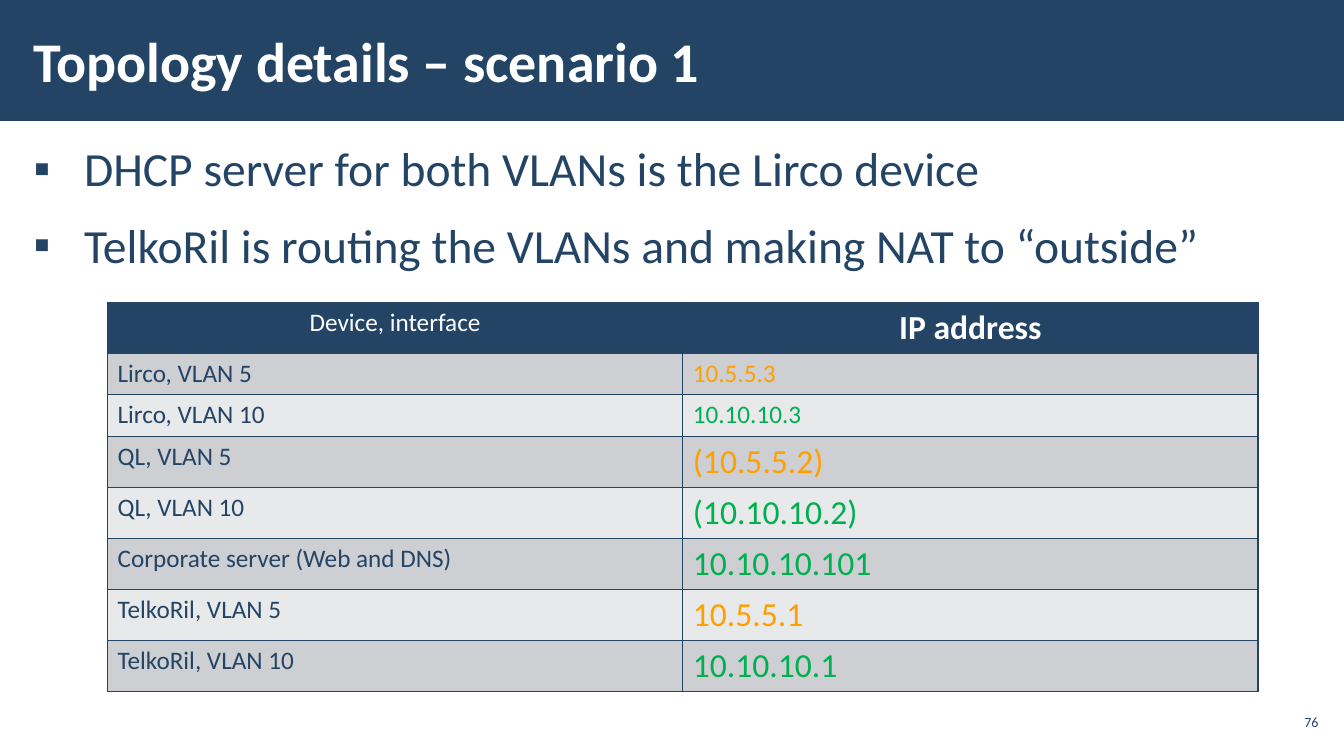
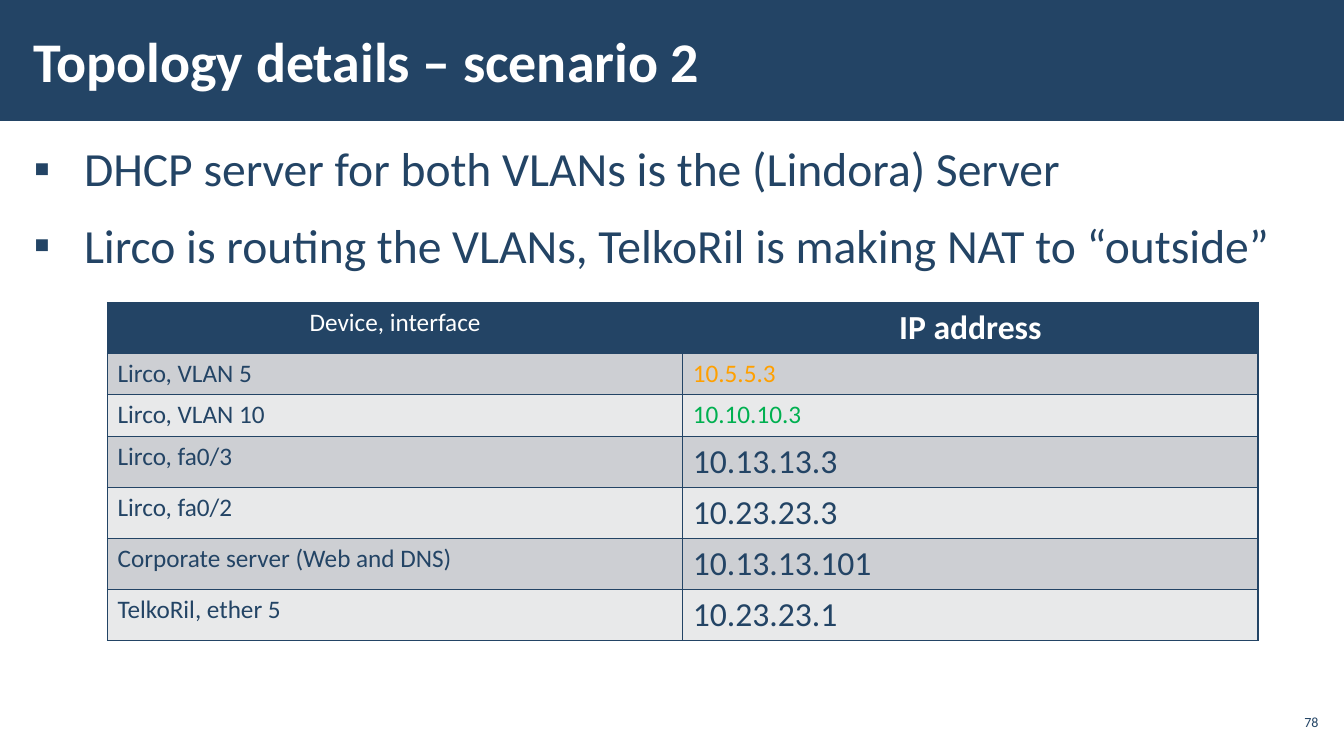
from lxml import etree
from pptx import Presentation
from pptx import util as u
from pptx.dml.color import RGBColor
from pptx.enum import shapes, text
from pptx.oxml import ns

COLOURS = {
    "navy": "234465", "white": "FFFFFF", "orange": "FFA000",
    "green": "00B050", "dark_band": "CDCFD3", "light_band": "E8E9EA",
}
SUBNET_COLOURS = {"10.5.5": "orange", "10.10.10": "green"}
WIDTH, HEIGHT = u.Inches(13.33), u.Inches(7.5)


class Deck:
    """Holds the shared style and the current slide."""

    font = "Calibri"
    left = 0.016
    band_height = 0.16

    def __init__(self):
        self.prs = Presentation()
        self.prs.slide_width, self.prs.slide_height = WIDTH, HEIGHT
        self.slide = None

    def colour(self, name):
        return RGBColor.from_string(COLOURS[name])

    def box(self, x, y, w, h):
        return int(WIDTH * x), int(HEIGHT * y), int(WIDTH * w), int(HEIGHT * h)

    def place(self, shape, x, y, w, h):
        shape.left, shape.top, shape.width, shape.height = self.box(x, y, w, h)

    def frame(self, shape, side, anchor):
        frame = shape.text_frame
        frame.word_wrap = True
        frame.auto_size = text.MSO_AUTO_SIZE.NONE
        frame.vertical_anchor = anchor
        frame.margin_left = frame.margin_right = u.Inches(side)
        frame.margin_top = frame.margin_bottom = u.Inches(0.04)
        return frame

    def run(self, paragraph, words, size, colour, bold=False):
        run = paragraph.add_run()
        run.text = words
        run.font.name = self.font
        run.font.size = u.Pt(size)
        run.font.bold = bold
        run.font.color.rgb = self.colour(colour)

    def new_slide(self, title, number):
        self.slide = self.prs.slides.add_slide(self.prs.slide_layouts[1])
        self.band()
        self.title(title)
        self.page_number(number)

    def band(self):
        band = self.slide.shapes.add_shape(
            shapes.MSO_SHAPE.RECTANGLE, *self.box(0, 0, 1, self.band_height))
        band.shadow.inherit = False
        band.fill.solid()
        band.fill.fore_color.rgb = self.colour("navy")
        band.line.fill.background()
        self.slide.shapes.element.insert(2, band.element)

    def title(self, words):
        title = self.slide.shapes.title
        self.place(title, self.left, 0.015, 0.78, 0.13)
        frame = self.frame(title, 0.12, text.MSO_ANCHOR.MIDDLE)
        frame.paragraphs[0].alignment = text.PP_ALIGN.LEFT
        self.run(frame.paragraphs[0], words, 40, "white", True)

    def page_number(self, number):
        corner = self.slide.shapes.add_textbox(
            *self.box(0.949, 0.933, 0.035, 0.045))
        frame = self.frame(corner, 0.04, text.MSO_ANCHOR.MIDDLE)
        frame.paragraphs[0].alignment = text.PP_ALIGN.RIGHT
        self.run(frame.paragraphs[0], str(number), 10, "navy")

    def bullets(self, points):
        body = self.slide.placeholders[1]
        self.place(body, self.left, 0.175, 0.969, 0.759)
        frame = self.frame(body, 0.12, text.MSO_ANCHOR.TOP)
        for index, point in enumerate(points):
            paragraph = frame.add_paragraph() if index else frame.paragraphs[0]
            properties = paragraph._p.get_or_add_pPr()
            properties.set("marL", str(u.Inches(0.5)))
            properties.set("indent", str(-u.Inches(0.5)))
            etree.SubElement(properties, ns.qn("a:buFont"), typeface="Arial")
            etree.SubElement(properties, ns.qn("a:buChar"), char="▪")
            paragraph.line_spacing = 1.05
            paragraph.space_before = u.Pt(6 if index else 0)
            paragraph.space_after = u.Pt(6)
            self.run(paragraph, point, 34, "navy")

    def borders(self, cell):
        properties = cell._tc.get_or_add_tcPr()
        for side in ("lnL", "lnR", "lnT", "lnB"):
            line = etree.SubElement(
                properties, ns.qn(f"a:{side}"), w=str(u.Pt(1)))
            fill = etree.SubElement(line, ns.qn("a:solidFill"))
            etree.SubElement(fill, ns.qn("a:srgbClr"), val=COLOURS["navy"])

    def cell(self, cell, words, size, colour, fill, header=False, bold=False):
        self.borders(cell)
        cell.fill.solid()
        cell.fill.fore_color.rgb = self.colour(fill)
        paragraph = cell.text_frame.paragraphs[0]
        paragraph.alignment = (
            text.PP_ALIGN.CENTER if header else text.PP_ALIGN.LEFT)
        self.run(paragraph, words, size, colour, bold)

    def address_table(self, interfaces):
        table = self.slide.shapes.add_table(
            len(interfaces) + 1, 2,
            *self.box(0.08, 0.4, 0.856, 0.055 * (len(interfaces) + 1))).table
        table.horz_banding = False
        for row in table.rows:
            row.height = u.Inches(0.41)
        self.cell(table.cell(0, 0), "Device, interface", 18, "white", "navy",
                  header=True)
        self.cell(table.cell(0, 1), "IP address", 24, "white", "navy",
                  header=True, bold=True)
        for row, (device, address) in enumerate(interfaces, 1):
            fill = "dark_band" if row % 2 else "light_band"
            subnet = address.strip("()").rpartition(".")[0]
            self.cell(table.cell(row, 0), device, 18, "navy", fill)
            self.cell(table.cell(row, 1), address, 18 if row <= 2 else 24,
                      SUBNET_COLOURS.get(subnet, "navy"), fill)


SWITCH_INTERFACES = [
    ("Lirco, VLAN 5", "10.5.5.3"),
    ("Lirco, VLAN 10", "10.10.10.3"),
]
SERVER = "Corporate server (Web and DNS)"
SCENARIOS = [
    (76, ["DHCP server for both VLANs is the Lirco device",
          "TelkoRil is routing the VLANs and making NAT to “outside”"],
     [("QL, VLAN 5", "(10.5.5.2)"),
      ("QL, VLAN 10", "(10.10.10.2)"),
      (SERVER, "10.10.10.101"),
      ("TelkoRil, VLAN 5", "10.5.5.1"),
      ("TelkoRil, VLAN 10", "10.10.10.1")]),
    (78, ["DHCP server for both VLANs is the (Lindora) Server",
          "Lirco is routing the VLANs, TelkoRil is making NAT to “outside”"],
     [("Lirco, fa0/3", "10.13.13.3"),
      ("Lirco, fa0/2", "10.23.23.3"),
      (SERVER, "10.13.13.101"),
      ("TelkoRil, ether 5", "10.23.23.1")]),
]


def main():
    deck = Deck()
    for scenario, (page, points, interfaces) in enumerate(SCENARIOS, 1):
        deck.new_slide(f"Topology details – scenario {scenario}", page)
        deck.bullets(points)
        deck.address_table(SWITCH_INTERFACES + interfaces)
    deck.prs.save("out.pptx")


if __name__ == "__main__":
    main()
